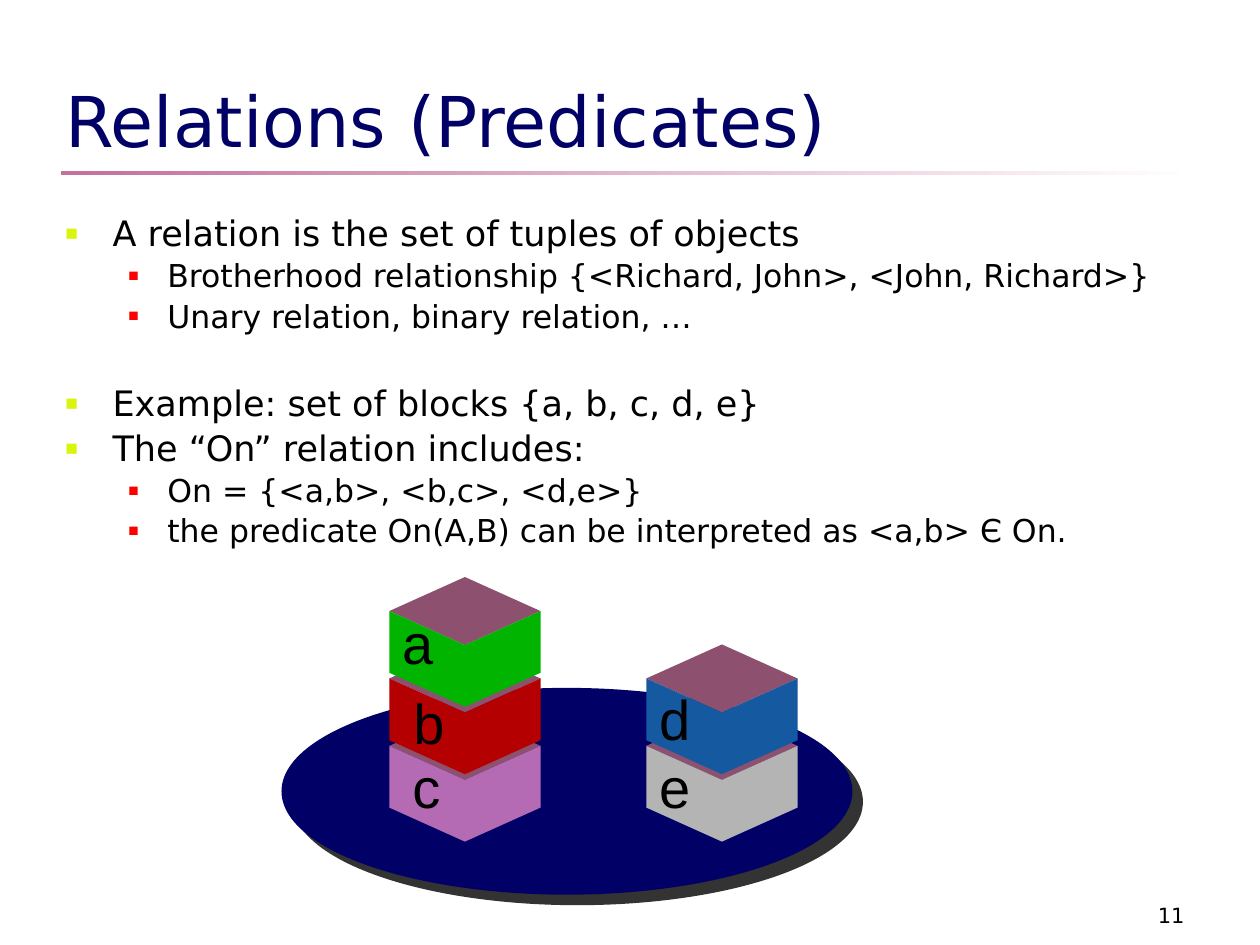
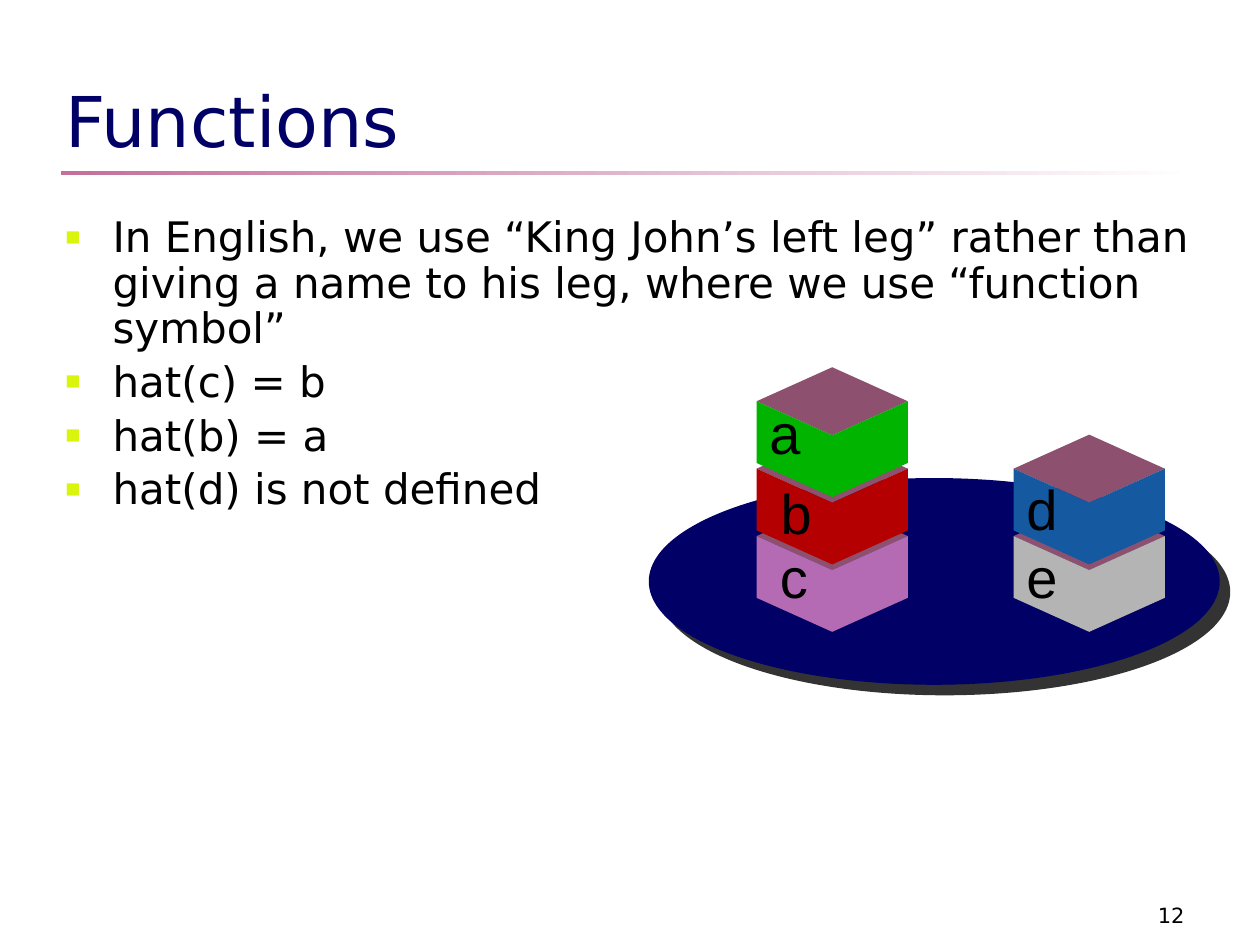
"""Builds two slides on relations and functions in a world of stacked blocks."""
from dataclasses import dataclass

from lxml import etree
from pptx import Presentation
from pptx import util as u
from pptx.dml.color import RGBColor
from pptx.enum import shapes, text
from pptx.oxml import parse_xml
from pptx.oxml.ns import nsdecls, qn

COLUMNS, ROWS = 100, 75
CELL = u.Inches(0.1)
BODY_FONT, LETTER_FONT = "DejaVu Sans", "Arial"
COLORS = {
    "navy": "000066", "ink": "000000", "rose": "C4709A", "white": "FFFFFF",
    "lime": "D9F50B", "bullet_red": "FF0000", "shadow": "333333", "lid": "8D516F",
    "green": "00B400", "red": "B40000", "violet": "B46BB4", "blue": "1559A0",
    "gray": "B4B4B4",
}
BLOCK_WIDTH, LID_HEIGHT, BLOCK_DEPTH = 12, 5.4, 4.9
STACK_LEFTS = (8.4, 28.8)
FLOOR_ROW, STACK_PITCH = 1.75, 5.35


@dataclass(frozen=True)
class Box:
    """A rectangle in grid columns and rows."""
    left: float
    top: float
    width: float
    height: float

    def lengths(self) -> tuple[int, ...]:
        """Return left, top, width and height as slide lengths."""
        return tuple(cells(n) for n in (self.left, self.top, self.width, self.height))


@dataclass(frozen=True)
class Bullet:
    """One bulleted line of the body."""
    words: str
    size: int
    level: int = 0
    new_section: bool = False


@dataclass(frozen=True)
class Level:
    """Indents and bullet look of an outline level."""
    margin: float
    hanging: float
    color: str
    percent: int


@dataclass(frozen=True)
class Block:
    """A lettered block, placed by stack and by storey from the floor."""
    letter: str
    color: str
    stack: int
    storey: int
    letter_x: float = 0.0
    letter_y: float = 2.7


@dataclass(frozen=True)
class Page:
    """The content of one slide."""
    number: int
    title: str
    body: Box
    bullets: tuple[Bullet, ...]
    table_left: float
    table_top: float


TITLE = Box(4.2, 0.8, 93.6, 12.5)
RULE = Box(4.85, 13.6, 90, 0.3)
NUMBER = Box(74.2, 69.15, 20.8, 5)
LEVELS = (Level(3.75, 3.75, "lime", 60), Level(8.1, 3.1, "bullet_red", 55))
BLOCKS = (
    Block("c", "violet", 0, 0, 0.7),
    Block("b", "red", 0, 1, 0.9, 3),
    Block("a", "green", 0, 2, 0, 2),
    Block("e", "gray", 1, 0),
    Block("d", "blue", 1, 1),
)
PAGES = (
    Page(11, "Relations (Predicates)", Box(4.2, 16.7, 94.2, 25), (
        Bullet("A relation is the set of tuples of objects", 20),
        Bullet("Brotherhood relationship {<Richard, John>, <John, Richard>}", 18, 1),
        Bullet("Unary relation, binary relation, …", 18, 1),
        Bullet("Example: set of blocks {a, b, c, d, e}", 20, new_section=True),
        Bullet("The “On” relation includes:", 20),
        Bullet("On = {<a,b>, <b,c>, <d,e>}", 18, 1),
        Bullet("the predicate On(A,B) can be interpreted as <a,b> Є On.", 18, 1),
    ), 22.5, 54.75),
    Page(12, "Functions", Box(4.2, 16.7, 94.2, 20), (
        Bullet("In English, we use “King John’s left leg” rather than giving a name "
               "to his leg, where we use “function symbol”", 24),
        Bullet("hat(c) = b", 24),
        Bullet("hat(b) = a", 24),
        Bullet("hat(d) is not defined", 24),
    ), 51.65, 38.1),
)


def cells(count: float) -> int:
    """Convert grid cells to a slide length."""
    return round(count * CELL)


def rgb(name: str) -> RGBColor:
    """Look up a named colour."""
    return RGBColor.from_string(COLORS[name])


def add_run(paragraph, words: str, size: int, color: str = "ink",
            font: str = BODY_FONT) -> None:
    """Add one styled run to a paragraph."""
    run = paragraph.add_run()
    run.text = words
    run.font.size, run.font.name = u.Pt(size), font
    run.font.color.rgb = rgb(color)


def add_text_frame(parent, box: Box, anchor=text.MSO_ANCHOR.TOP, wrap: bool = True):
    """Add a text box and return its frame."""
    frame = parent.add_textbox(*box.lengths()).text_frame
    frame.word_wrap, frame.vertical_anchor = wrap, anchor
    return frame


def paint(shape, color: str) -> None:
    """Give a shape a flat fill, no line and no shadow."""
    shape.shadow.inherit = False
    shape.fill.solid()
    shape.fill.fore_color.rgb = rgb(color)
    shape.line.fill.background()


def add_frame(slide, page: Page) -> None:
    """Draw the title, the fading rule and the page number."""
    rule = slide.shapes.add_shape(shapes.MSO_SHAPE.RECTANGLE, *RULE.lengths())
    paint(rule, "rose")
    rule.fill.gradient()
    rule.fill.gradient_angle = 0
    for stop, color in zip(rule.fill.gradient_stops, ("rose", "white")):
        stop.color.rgb = rgb(color)
    bottom = text.MSO_ANCHOR.BOTTOM
    title = add_text_frame(slide.shapes, TITLE, bottom)
    add_run(title.paragraphs[0], page.title, 40, "navy")
    number = add_text_frame(slide.shapes, NUMBER, bottom).paragraphs[0]
    number.alignment = text.PP_ALIGN.RIGHT
    add_run(number, str(page.number), 12)


def set_bullet(paragraph, level: Level) -> None:
    """Apply a level's indents and square bullet."""
    properties = paragraph._p.get_or_add_pPr()
    properties.set("marL", str(cells(level.margin)))
    properties.set("indent", str(-cells(level.hanging)))
    color = etree.SubElement(properties, qn("a:buClr"))
    etree.SubElement(color, qn("a:srgbClr"), val=COLORS[level.color])
    etree.SubElement(properties, qn("a:buSzPct"), val=str(level.percent * 1000))
    etree.SubElement(properties, qn("a:buFont"), typeface=LETTER_FONT)
    etree.SubElement(properties, qn("a:buChar"), char="■")


def add_body(slide, page: Page) -> None:
    """Write the bulleted lines."""
    frame = add_text_frame(slide.shapes, page.body)
    for index, bullet in enumerate(page.bullets):
        paragraph = frame.add_paragraph() if index else frame.paragraphs[0]
        paragraph.level = bullet.level
        paragraph.line_spacing = 0.9
        gap = bullet.size * (1.47 if bullet.new_section else 0.2)
        paragraph.space_before = u.Pt(gap)
        set_bullet(paragraph, LEVELS[bullet.level])
        add_run(paragraph, bullet.words, bullet.size)


def add_table_top(group, page: Page) -> None:
    """Draw the oval table with its hard shadow."""
    box = Box(page.table_left, page.table_top, 45, 16.1)
    oval = group.shapes.add_shape(shapes.MSO_SHAPE.OVAL, *box.lengths())
    paint(oval, "navy")
    oval.line.color.rgb = rgb("navy")
    oval.line.width = u.Pt(2.25)
    effects = oval._element.spPr.find(qn("a:effectLst"))
    effects.append(parse_xml(
        f'<a:outerShdw {nsdecls("a")} blurRad="0" dist="{u.Pt(8.5)}" dir="2700000" '
        f'algn="ctr" rotWithShape="0"><a:srgbClr val="{COLORS["shadow"]}"/></a:outerShdw>'))


def block_corner(page: Page, block: Block) -> tuple[float, float]:
    """Return the left and top of a block's lid."""
    return (page.table_left + STACK_LEFTS[block.stack],
            page.table_top + FLOOR_ROW - block.storey * STACK_PITCH)


def add_block(group, page: Page, block: Block) -> None:
    """Draw a block as a diamond lid over two side faces."""
    left, top = block_corner(page, block)
    lid_box = Box(left, top, BLOCK_WIDTH, LID_HEIGHT)
    lid = group.shapes.add_shape(shapes.MSO_SHAPE.DIAMOND, *lid_box.lengths())
    paint(lid, "lid")
    middle, right = left + BLOCK_WIDTH / 2, left + BLOCK_WIDTH
    side, front = top + LID_HEIGHT / 2, top + LID_HEIGHT
    upper = [(left, side), (middle, front), (right, side)]
    lower = [(x, y + BLOCK_DEPTH) for x, y in reversed(upper)]
    outline = [(cells(x), cells(y)) for x, y in upper + lower]
    builder = group.shapes.build_freeform(*outline[0])
    builder.add_line_segments(outline[1:], close=True)
    paint(builder.convert_to_shape(), block.color)


def add_letter(group, page: Page, block: Block) -> None:
    """Write a block's letter on its left face."""
    left, top = block_corner(page, block)
    box = Box(left + block.letter_x, top + block.letter_y, 4.5, 6.3)
    paragraph = add_text_frame(group.shapes, box, wrap=False).paragraphs[0]
    paragraph.alignment = text.PP_ALIGN.CENTER
    add_run(paragraph, block.letter, 32, font=LETTER_FONT)


def add_block_world(slide, page: Page) -> None:
    """Draw the table, the stacked blocks and their letters as a group."""
    group = slide.shapes.add_group_shape()
    add_table_top(group, page)
    for block in BLOCKS:
        add_block(group, page, block)
    for block in BLOCKS:
        add_letter(group, page, block)


def main() -> None:
    """Build and save the presentation."""
    presentation = Presentation()
    presentation.slide_width, presentation.slide_height = cells(COLUMNS), cells(ROWS)
    for page in PAGES:
        slide = presentation.slides.add_slide(presentation.slide_layouts[6])
        add_frame(slide, page)
        add_body(slide, page)
        add_block_world(slide, page)
    presentation.save("out.pptx")


if __name__ == "__main__":
    main()
